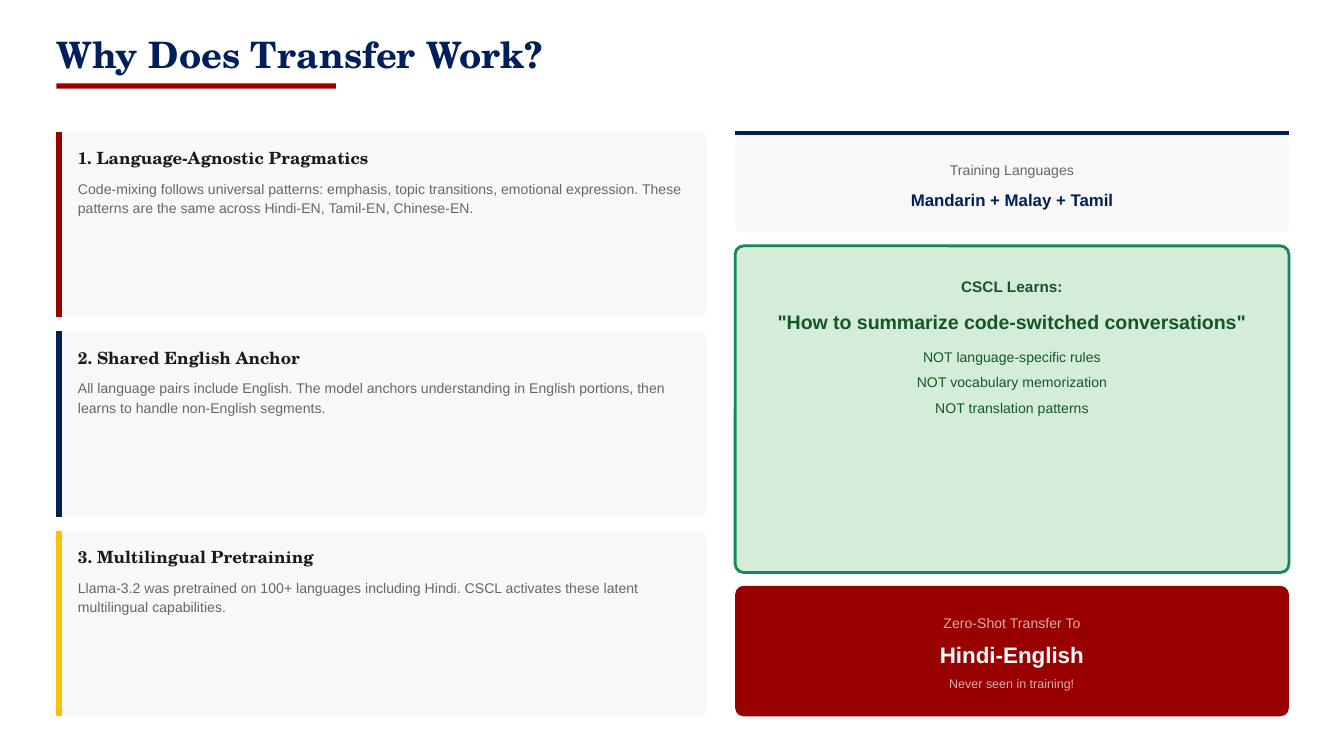
"""Build the slide explaining why cross-lingual transfer works."""
from dataclasses import dataclass

from lxml import etree
from pptx import Presentation
from pptx.dml.color import RGBColor
from pptx.enum.shapes import MSO_CONNECTOR, MSO_SHAPE
from pptx.enum.text import PP_ALIGN
from pptx.oxml.ns import qn
from pptx.util import Inches, Pt

RECTANGLE = MSO_SHAPE.RECTANGLE
ROUNDED = MSO_SHAPE.ROUNDED_RECTANGLE
STRAIGHT = MSO_CONNECTOR.STRAIGHT
LEFT, CENTER = PP_ALIGN.LEFT, PP_ALIGN.CENTER

SERIF, SANS = "TeX Gyre Schola", "Arial"
NAVY, RED, GOLD = "011F5B", "990000", "FFC107"
PANEL, INK, GRAY, WHITE = "F8F8F8", "1A1A1A", "666666", "FFFFFF"
GREEN, MINT, FOREST = "198754", "D4EDDA", "155724"

SLIDE_WIDTH = 10
SLIDE_HEIGHT = SLIDE_WIDTH * 9 / 16
MARGIN, TOP, RADIUS = 0.42, 0.98, 1 / 16
REASON_WIDTH, REASON_HEIGHT = 4.84, 1.38
REASON_PITCH = (3.95 - TOP) / 2
FLOW_LEFT, FLOW_WIDTH = 5.47, 4.12


@dataclass(frozen=True)
class Reason:
    heading: str
    explanation: str
    accent: str


@dataclass(frozen=True)
class Line:
    text: str
    top: float
    height: float = 0.15
    size: float = 7.5
    leading: float = 10.5
    color: str = GRAY
    bold: bool = False
    opacity: int = 100


@dataclass(frozen=True)
class Stage:
    top: float
    height: float
    fill: str
    inset: float
    lines: tuple[Line, ...]
    border: str | None = None


REASONS = (
    Reason("1. Language-Agnostic Pragmatics",
           "Code-mixing follows universal patterns: emphasis, topic transitions, emotional expression. "
           "These patterns are the same across Hindi-EN, Tamil-EN, Chinese-EN.", RED),
    Reason("2. Shared English Anchor",
           "All language pairs include English. The model anchors understanding in English portions, "
           "then learns to handle non-English segments.", NAVY),
    Reason("3. Multilingual Pretraining",
           "Llama-3.2 was pretrained on 100+ languages including Hindi. "
           "CSCL activates these latent multilingual capabilities.", GOLD),
)

NOT_LEARNED = ("NOT language-specific rules", "NOT vocabulary memorization", "NOT translation patterns")

STAGES = (
    Stage(TOP, 0.75, PANEL, 0.09, (
        Line("Training Languages", 1.18),
        Line("Mandarin + Malay + Tamil", 1.39, 0.17, 9, 12.6, NAVY, True),
    )),
    Stage(1.83, 2.43, MINT, 0.13, (
        Line("CSCL Learns:", 2.04, 0.16, 8.25, 11.55, FOREST, True),
        Line('"How to summarize code-switched conversations"', 2.28, 0.2, 10.5, 14.7, FOREST, True),
        *(Line(text, 2.57 + 0.19 * row, color=FOREST) for row, text in enumerate(NOT_LEARNED)),
    ), GREEN),
    Stage(4.36, 0.97, RED, 0.11, (
        Line("Zero-Shot Transfer To", 4.55, color=WHITE, opacity=67),
        Line("Hindi-English", 4.74, 0.23, 12, 16.8, WHITE, True),
        Line("Never seen in training!", 5.01, 0.13, 6.75, 9.45, WHITE, opacity=67),
    )),
)


def rgb(hex_color: str) -> RGBColor:
    """Turn a hex string into a colour."""
    return RGBColor.from_string(hex_color)


def add_text(slide, text: str, left: float, top: float, width: float, height: float, *,
             size: float, leading: float, color: str, font: str = SANS, bold: bool = False,
             align: PP_ALIGN = LEFT, opacity: int = 100) -> None:
    """Place one formatted paragraph in a box without margins."""
    box = slide.shapes.add_textbox(Inches(left), Inches(top), Inches(width), Inches(height))
    frame = box.text_frame
    frame.word_wrap = True
    frame.margin_left = frame.margin_right = frame.margin_top = frame.margin_bottom = 0
    paragraph = frame.paragraphs[0]
    paragraph.alignment = align
    paragraph.line_spacing = Pt(leading)
    run = paragraph.add_run()
    run.text = text
    run.font.name, run.font.size, run.font.bold = font, Pt(size), bold
    run.font.color.rgb = rgb(color)
    if opacity < 100:
        tint = run._r.find(".//" + qn("a:srgbClr"))
        etree.SubElement(tint, qn("a:alpha"), val=str(opacity * 1000))


def add_panel(slide, left: float, top: float, width: float, height: float, fill: str, *,
              border: str | None = None, rounded: bool = True) -> None:
    """Draw a filled rectangle, with the shared corner radius when rounded."""
    panel = slide.shapes.add_shape(ROUNDED if rounded else RECTANGLE, Inches(left), Inches(top),
                                   Inches(width), Inches(height))
    panel.shadow.inherit = False
    if rounded:
        panel.adjustments[0] = RADIUS / height
    panel.fill.solid()
    panel.fill.fore_color.rgb = rgb(fill)
    if border:
        panel.line.color.rgb = rgb(border)
        panel.line.width = Pt(1.5)
    else:
        panel.line.fill.background()


def add_rule(slide, x1: float, y1: float, x2: float, y2: float, color: str, weight: float) -> None:
    """Draw a straight accent line without a shadow."""
    rule = slide.shapes.add_connector(STRAIGHT, Inches(x1), Inches(y1), Inches(x2), Inches(y2))
    rule.line.color.rgb = rgb(color)
    rule.line.width = Pt(weight)
    etree.SubElement(rule._element.spPr, qn("a:effectLst"))


def add_reason(slide, reason: Reason, top: float) -> None:
    """Draw a reason card with its accent edge."""
    add_panel(slide, MARGIN, top, REASON_WIDTH, REASON_HEIGHT, PANEL)
    edge = MARGIN + 0.02
    add_rule(slide, edge, top, edge, top + REASON_HEIGHT, reason.accent, 3)
    text_left, text_width = MARGIN + 0.16, 4.64
    add_text(slide, reason.heading, text_left, top + 0.12, text_width, 0.15,
             size=9, leading=10.8, color=INK, font=SERIF, bold=True)
    add_text(slide, reason.explanation, text_left, top + 0.34, text_width, 0.29,
             size=7.5, leading=10.5, color=GRAY)


def add_stage(slide, stage: Stage) -> None:
    """Draw a stage of the transfer flow with its centred lines."""
    add_panel(slide, FLOW_LEFT, stage.top, FLOW_WIDTH, stage.height, stage.fill, border=stage.border)
    for line in stage.lines:
        add_text(slide, line.text, FLOW_LEFT + stage.inset, line.top,
                 FLOW_WIDTH - 2 * stage.inset, line.height, size=line.size, leading=line.leading,
                 color=line.color, bold=line.bold, align=CENTER, opacity=line.opacity)


def main() -> None:
    """Build and save the slide."""
    deck = Presentation()
    deck.slide_width, deck.slide_height = Inches(SLIDE_WIDTH), Inches(SLIDE_HEIGHT)
    slide = deck.slides.add_slide(deck.slide_layouts[6])
    add_text(slide, "Why Does Transfer Work?", MARGIN, 0.29, 4.69, 0.27,
             size=19.5, leading=19.5, color=NAVY, font=SERIF, bold=True)
    add_panel(slide, MARGIN, 0.62, 2.08, 0.04, RED, rounded=False)
    for row, reason in enumerate(REASONS):
        add_reason(slide, reason, TOP + row * REASON_PITCH)
    for stage in STAGES:
        add_stage(slide, stage)
    add_rule(slide, FLOW_LEFT, TOP + 0.01, FLOW_LEFT + FLOW_WIDTH, TOP + 0.01, NAVY, 2.25)
    deck.save("out.pptx")


if __name__ == "__main__":
    main()
